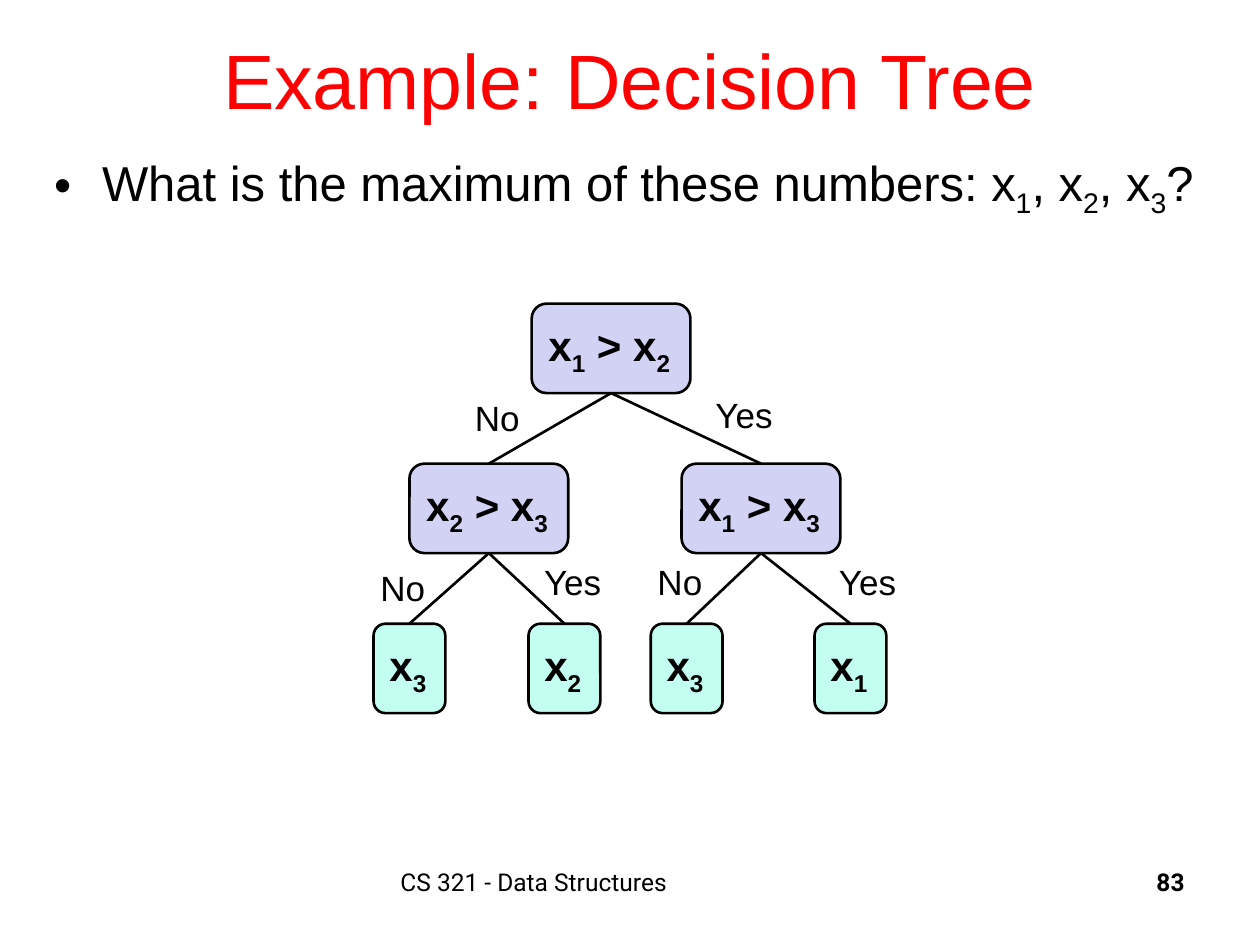
from lxml import etree
from pptx import Presentation
from pptx.dml.color import RGBColor
from pptx.enum.shapes import MSO_CONNECTOR, MSO_SHAPE
from pptx.enum.text import MSO_ANCHOR, MSO_AUTO_SIZE, PP_ALIGN
from pptx.oxml.ns import qn
from pptx.util import Inches, Pt

STRAIGHT = MSO_CONNECTOR.STRAIGHT
ROUNDED = MSO_SHAPE.ROUNDED_RECTANGLE
MIDDLE = MSO_ANCHOR.MIDDLE
NO_FIT = MSO_AUTO_SIZE.NONE
LEFT, CENTER, RIGHT = PP_ALIGN.LEFT, PP_ALIGN.CENTER, PP_ALIGN.RIGHT

BLACK = RGBColor(0x00, 0x00, 0x00)
RED = RGBColor(0xFF, 0x00, 0x00)
LAVENDER = RGBColor(0xD2, 0xD2, 0xF4)
MINT = RGBColor(0xC2, 0xFF, 0xF0)

TITLE = "Example: Decision Tree"
QUESTION = "What is the maximum of these numbers: x_1, x_2, x_3?"
FOOTER = "CS 321 - Data Structures"
PAGE_NUMBER = "83"

TREE_TOP, ROW_STEP, NODE_HEIGHT = 2.41, 1.27, 0.71
NODE_STYLES = {"question": (1.26, LAVENDER), "answer": (0.57, MINT)}
NODES = {
    "root": ("x_1 > x_2", "question", 0, 4.85),
    "left": ("x_2 > x_3", "question", 1, 3.88),
    "right": ("x_1 > x_3", "question", 1, 6.04),
    "left no": ("x_3", "answer", 2, 3.25),
    "left yes": ("x_2", "answer", 2, 4.48),
    "right no": ("x_3", "answer", 2, 5.45),
    "right yes": ("x_1", "answer", 2, 6.75),
}
LABEL_WIDTHS = {"No": 0.56, "Yes": 0.67}
BRANCHES = [
    ("root", "left", "No", 3.67, 3.1),
    ("root", "right", "Yes", 5.58, 3.07),
    ("left", "left no", "No", 2.92, 4.45),
    ("left", "left yes", "Yes", 4.22, 4.4),
    ("right", "right no", "No", 5.12, 4.4),
    ("right", "right yes", "Yes", 6.56, 4.4),
]


def place(shape, left, top, width, height):
    shape.left, shape.top = Inches(left), Inches(top)
    shape.width, shape.height = Inches(width), Inches(height)


def write(shape, text, size, color=BLACK, bold=False, align=LEFT, font="Arial", before=0.0):
    para = shape.text_frame.paragraphs[0]
    para.alignment = align
    para.space_before = Pt(before * size)
    para.font.name, para.font.size = font, Pt(size)
    para.font.bold, para.font.color.rgb = bold, color
    first, *rest = text.split("_")
    para.add_run().text = first
    for part in rest:
        subscript = para.add_run()
        subscript.text = part[0]
        subscript.font._element.set("baseline", "-25000")
        if part[1:]:
            para.add_run().text = part[1:]
    return para


def add_text(slide, bounds, text, size, **style):
    box = slide.shapes.add_textbox(*map(Inches, bounds))
    box.text_frame.word_wrap = True
    write(box, text, size, **style)


def add_node(slide, text, kind, row, center):
    width, color = NODE_STYLES[kind]
    bounds = (center - width / 2, TREE_TOP + row * ROW_STEP, width, NODE_HEIGHT)
    node = slide.shapes.add_shape(ROUNDED, *map(Inches, bounds))
    node.shadow.inherit = False
    node.fill.solid()
    node.fill.fore_color.rgb = color
    node.line.color.rgb, node.line.width = BLACK, Pt(1.5)
    node.text_frame.word_wrap = False
    node.text_frame.vertical_anchor = MIDDLE
    write(node, text, 24, bold=True, before=0.1)
    return node


def add_branch(slide, parent, child):
    branch = slide.shapes.add_connector(STRAIGHT, 0, 0, 0, 0)
    branch.begin_connect(parent, 2)
    branch.end_connect(child, 0)
    branch.line.color.rgb, branch.line.width = BLACK, Pt(1.5)
    etree.SubElement(branch._element.spPr, qn("a:effectLst"))


def main():
    deck = Presentation()
    deck.slide_width, deck.slide_height = Inches(10), Inches(7.5)
    slide = deck.slides.add_slide(deck.slide_layouts[1])

    title, body = slide.placeholders
    place(title, 0.75, 0, 8.5, 1.25)
    title.text_frame.auto_size = NO_FIT
    title.text_frame.vertical_anchor = MIDDLE
    write(title, TITLE, 44, color=RED, align=CENTER)

    place(body, 0.33, 1.16, 9.5, 0.59)
    body.text_frame.auto_size = NO_FIT
    question = write(body, QUESTION, 28, before=0.1)
    properties = question._p.get_or_add_pPr()
    properties.set("marL", str(Inches(0.38)))
    properties.set("indent", str(Inches(-0.38)))

    nodes = {name: add_node(slide, *node) for name, node in NODES.items()}
    for parent, child, label, left, top in BRANCHES:
        add_branch(slide, nodes[parent], nodes[child])
        add_text(slide, (left, top, LABEL_WIDTHS[label], 0.44), label, 20, before=0.1)

    add_text(slide, (3.08, 6.83, 3.83, 0.5), FOOTER, 14, font="Roboto")
    add_text(slide, (7.42, 6.83, 2.08, 0.5), PAGE_NUMBER, 14, bold=True, align=RIGHT, font="Roboto")
    deck.save("out.pptx")


if __name__ == "__main__":
    main()
